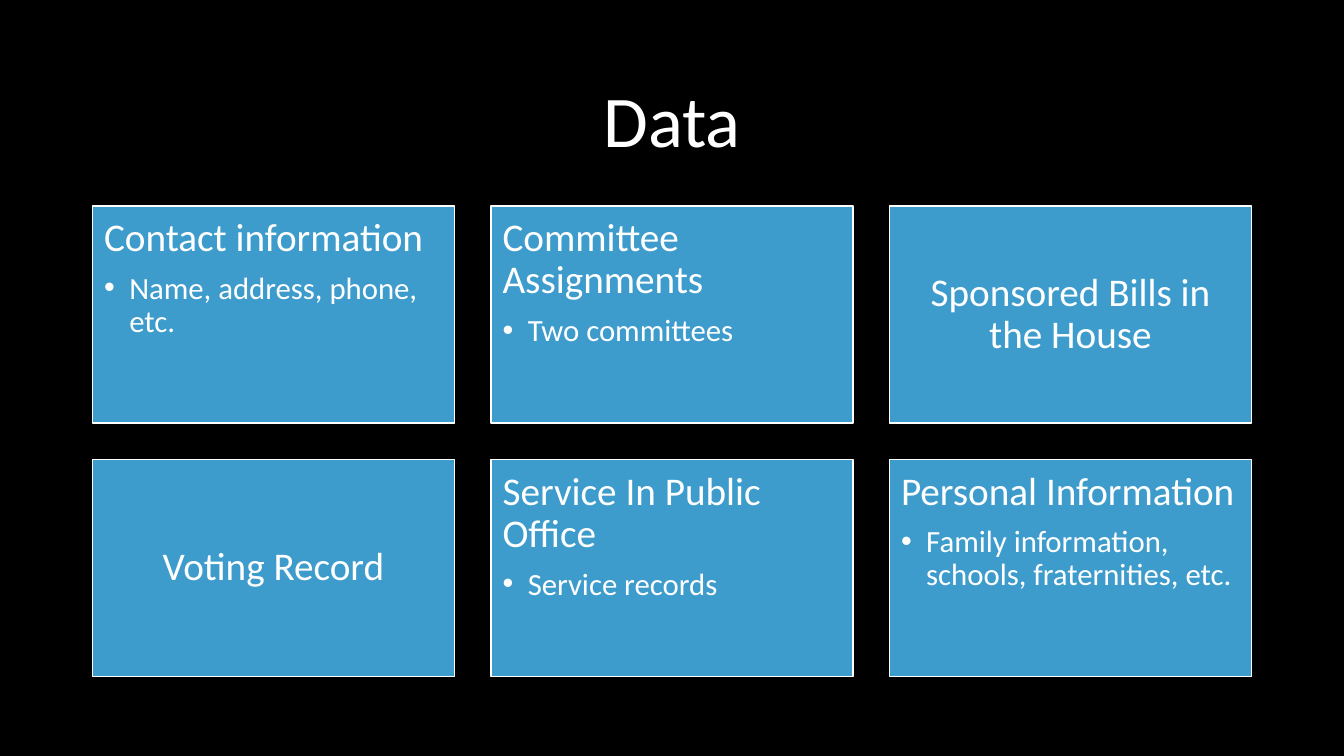
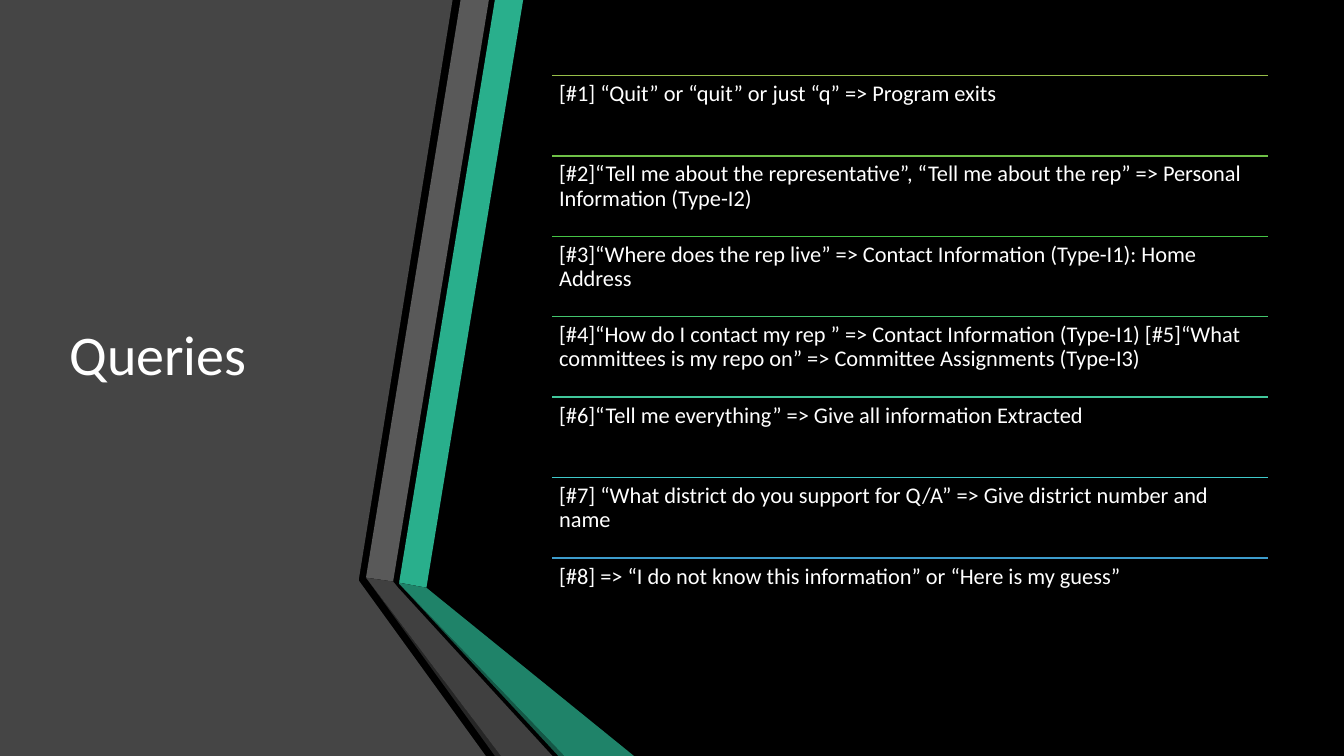
"""Build two dark slides: a grid of data cards and a ruled list of queries."""
from lxml import etree
from pptx import Presentation
from pptx.dml.color import RGBColor
from pptx.enum.shapes import MSO_CONNECTOR, MSO_SHAPE
from pptx.enum.text import MSO_ANCHOR, MSO_AUTO_SIZE, PP_ALIGN
from pptx.oxml.ns import qn
from pptx.util import Pt

RECTANGLE = MSO_SHAPE.RECTANGLE
STRAIGHT = MSO_CONNECTOR.STRAIGHT
TOP, MIDDLE = MSO_ANCHOR.TOP, MSO_ANCHOR.MIDDLE
LEFT, CENTER = PP_ALIGN.LEFT, PP_ALIGN.CENTER
NO_AUTOFIT = MSO_AUTO_SIZE.NONE
TITLE_ONLY = 5

CARDS = [
    ("Contact information", "Name, address, phone, etc."),
    ("Committee Assignments", "Two committees"),
    ("Sponsored Bills in the House", None),
    ("Voting Record", None),
    ("Service In Public Office", "Service records"),
    ("Personal Information", "Family information, schools, fraternities, etc."),
]

QUERIES = [
    ("97BE49", "[#1] “Quit” or “quit” or just “q” => Program exits"),
    ("6FC047", "[#2]“Tell me about the representative”, “Tell me about the rep” "
               "=> Personal Information (Type-I2)"),
    ("45C345", "[#3]“Where does the rep live” => Contact Information (Type-I1): "
               "Home Address"),
    ("43C56E", "[#4]“How do I contact my rep ” => Contact Information (Type-I1) "
               "[#5]“What committees is my repo on” => Committee Assignments (Type-I3)"),
    ("41C79B", "[#6]“Tell me everything” => Give all information Extracted"),
    ("3FC9CA", "[#7] “What district do you support for Q/A” => Give district "
               "number and name"),
    ("3D9CCC", "[#8] => “I do not know this information” or “Here is my guess”"),
]

PANEL = ("454545", [(0, 0), (323.3, 0), (256.3, 414), (256.3, 414.7),
                    (347, 540), (0, 540)])
RIBBONS = [
    ("29AF8C", [(285.1, 416.2), (304.6, 419.8), (373.7, 0), (353.5, 0)]),
    ("595959", [(349.2, 0), (329, 0), (261.4, 412.6), (280.8, 415.4)]),
    ("262626", [(261.4, 412.6), (353.5, 540), (357.8, 540)]),
    ("155746", [(285.1, 416.9), (398.9, 540), (403.2, 540)]),
    ("1F8369", [(285.1, 416.9), (403.2, 540), (452.9, 540), (304.6, 419.8),
                (285.1, 416.2)]),
    ("404040", [(394.6, 540), (284.4, 419.8), (280.8, 415.4), (261.4, 412.6),
                (357.8, 540)]),
]


def color(value):
    """Turn a hex string into a colour."""
    return RGBColor.from_string(value)


def write(frame, text, size=16, align=LEFT, after=0, bullet=False):
    """Add one formatted paragraph to a text frame."""
    if frame.text:
        frame.add_paragraph()
    paragraph = frame.paragraphs[-1]
    paragraph.alignment = align
    paragraph.line_spacing = 0.9
    paragraph.space_before, paragraph.space_after = Pt(0), Pt(after)
    if bullet:
        paragraph.level = 1
        properties = paragraph._p.get_or_add_pPr()
        properties.set("marL", str(Pt(18)))
        properties.set("indent", str(Pt(-18)))
        etree.SubElement(properties, qn("a:buFont")).set("typeface", "Arial")
        etree.SubElement(properties, qn("a:buChar")).set("char", "•")
    run = paragraph.add_run()
    run.text = text
    run.font.name, run.font.size = Deck.FONT, Pt(size)
    run.font.color.rgb = color(Deck.TEXT)


class Deck:
    """Hold the shared style and the current slide."""

    FONT, TEXT, BACKGROUND, CARD = "Calibri", "FFFFFF", "000000", "3D9CCC"

    def __init__(self):
        """Start a wide presentation with a dark master."""
        self.presentation = Presentation()
        self.presentation.slide_width = Pt(960)
        self.presentation.slide_height = Pt(540)
        fill = self.presentation.slide_master.background.fill
        fill.solid()
        fill.fore_color.rgb = color(self.BACKGROUND)
        self.slide = None

    def add_slide(self):
        """Begin a new slide."""
        layout = self.presentation.slide_layouts[TITLE_ONLY]
        self.slide = self.presentation.slides.add_slide(layout)

    def frame(self, shape, anchor=TOP, inset=None):
        """Prepare the text frame of a shape."""
        frame = shape.text_frame
        frame.word_wrap, frame.auto_size = True, NO_AUTOFIT
        frame.vertical_anchor = anchor
        if inset is not None:
            frame.margin_left = frame.margin_right = Pt(inset)
            frame.margin_top = frame.margin_bottom = Pt(inset)
        return frame

    def title(self, text, left, top, width, height, **style):
        """Place the title in front of everything drawn so far."""
        shape = self.slide.shapes.title
        shape.left, shape.top = Pt(left), Pt(top)
        shape.width, shape.height = Pt(width), Pt(height)
        shape.element.getparent().append(shape.element)
        write(self.frame(shape, MIDDLE), text, **style)

    def card(self, heading, detail, left, top, width, height):
        """Draw a card, centred when it has no detail."""
        shape = self.slide.shapes.add_shape(
            RECTANGLE, Pt(left), Pt(top), Pt(width), Pt(height))
        shape.shadow.inherit = False
        shape.fill.solid()
        shape.fill.fore_color.rgb = color(self.CARD)
        shape.line.color.rgb = color(self.TEXT)
        shape.line.width = Pt(1)
        frame = self.frame(shape, TOP if detail else MIDDLE, 8.4)
        if detail:
            write(frame, heading, size=28, after=9)
            write(frame, detail, size=22, bullet=True)
        else:
            write(frame, heading, size=28, align=CENTER)

    def polygon(self, fill, points):
        """Draw a filled outline."""
        start, *rest = [(Pt(x), Pt(y)) for x, y in points]
        builder = self.slide.shapes.build_freeform(*start)
        builder.add_line_segments(rest, close=True)
        shape = builder.convert_to_shape()
        shape.shadow.inherit = False
        shape.fill.solid()
        shape.fill.fore_color.rgb = color(fill)
        shape.line.fill.background()

    def ruled_text(self, text, rule, left, top, width, height):
        """Draw a coloured rule with text below it."""
        line = self.slide.shapes.add_connector(
            STRAIGHT, Pt(left), Pt(top), Pt(left + width), Pt(top))
        line.line.color.rgb = color(rule)
        line.line.width = Pt(1)
        etree.SubElement(line.element.spPr, qn("a:effectLst"))
        box = self.slide.shapes.add_textbox(
            Pt(left), Pt(top), Pt(width), Pt(height))
        write(self.frame(box, inset=4.8), text)


def data_slide(deck):
    """Build the grid of data cards."""
    deck.add_slide()
    deck.title("Data", 66, 44, 828, 89, size=52, align=CENTER)
    width, height, columns = 258.75, 155.25, 3
    gap = width / 10
    for index, (heading, detail) in enumerate(CARDS):
        row, column = divmod(index, columns)
        deck.card(heading, detail, 66 + column * (width + gap),
                  147 + row * (height + gap), width, height)


def queries_slide(deck):
    """Build the ruled list of queries beside the folded ribbons."""
    deck.add_slide()
    for fill, points in [PANEL, *RIBBONS]:
        deck.polygon(fill, points)
    top, height = 54, 402
    deck.title("Queries", 42.5, top, 219, height, size=40)
    step = height / len(QUERIES)
    for index, (rule, text) in enumerate(QUERIES):
        deck.ruled_text(text, rule, 394.6, top + index * step, 511.2, step)


def main():
    """Build and save the presentation."""
    deck = Deck()
    data_slide(deck)
    queries_slide(deck)
    deck.presentation.save("out.pptx")


if __name__ == "__main__":
    main()
